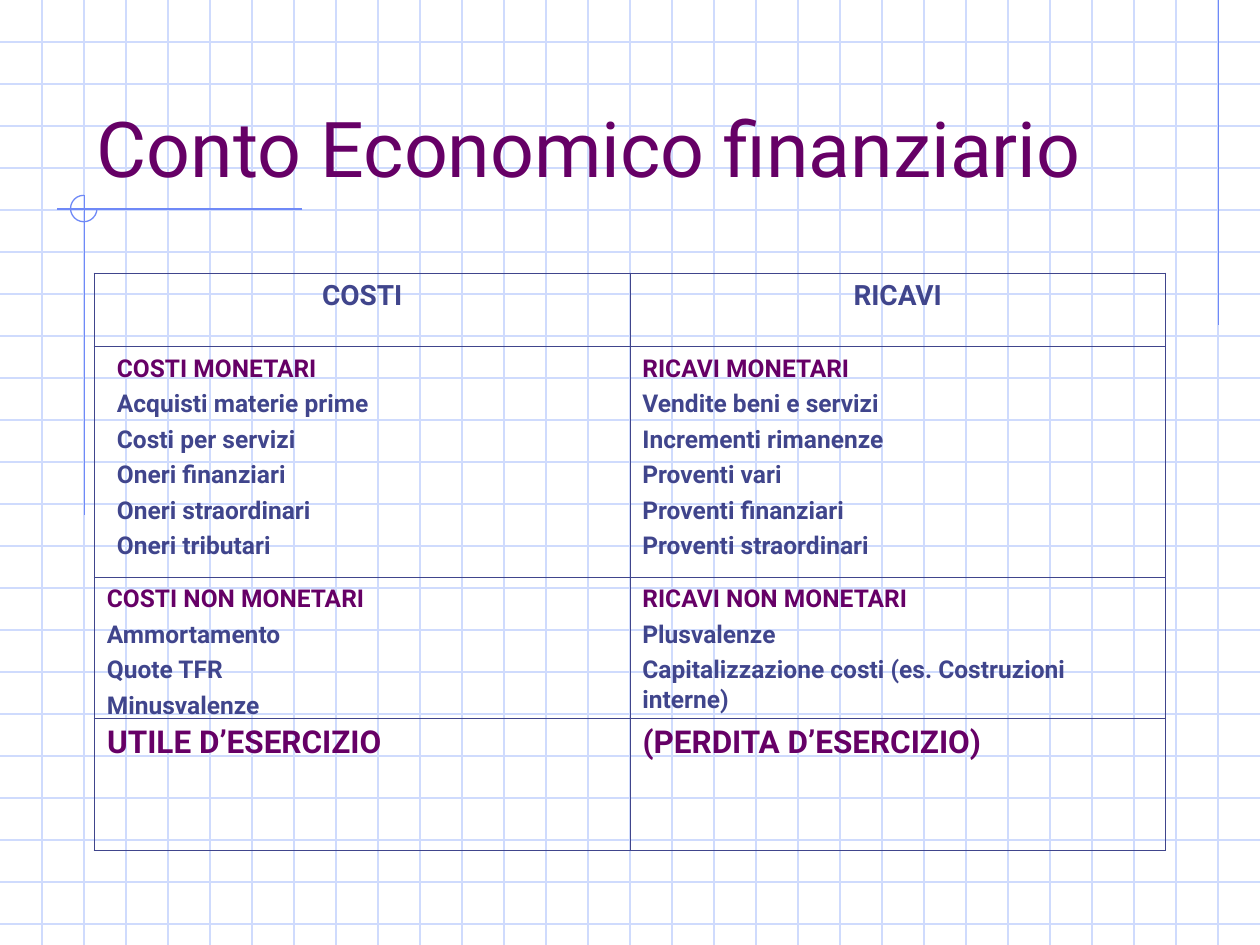
from dataclasses import dataclass
from typing import Any

from lxml.etree import SubElement
from pptx import Presentation
from pptx.dml.color import RGBColor as RGB
from pptx.enum.shapes import MSO_CONNECTOR as CONN, MSO_SHAPE as SHAPE
from pptx.enum.text import MSO_ANCHOR as ANCHOR, PP_ALIGN as ALIGN
from pptx.oxml.ns import qn
from pptx.util import Inches, Pt


@dataclass(frozen=True)
class Theme:
    font: str = "Roboto"
    grid: str = "CFDBFD"
    accent: str = "6F89F7"
    ink: str = "40458C"
    strong: str = "660066"
    title: float = 44
    result: float = 18
    header: float = 16
    body: float = 14
    rule: float = 0.75
    outer: float = 1.08
    inner: float = 0.45


@dataclass(frozen=True)
class Rule:
    x1: float
    y1: float
    x2: float
    y2: float
    color: str


@dataclass(frozen=True)
class Entry:
    left: float
    top: float
    width: float
    height: float
    heading: str
    items: tuple[str, ...]


T = Theme()
WIDTH, HEIGHT, STEP = 10, 7.5, 1 / 3

GRID = [Rule(0, i * STEP, WIDTH, i * STEP, T.grid) for i in range(1, 23)]
GRID += [Rule(i * STEP, 0, i * STEP, HEIGHT, T.grid) for i in range(1, 30)]
ACCENTS = [
    Rule(9.67, 0, 9.67, 2.58, T.accent),
    Rule(2.4, 1.66, 0.45, 1.66, T.accent),
    Rule(0.67, 1.55, 0.67, 4.09, T.accent),
]

COLUMNS = (4.25, 4.25)
ROWS = (0.58, 1.83, 1.12, 1.05)
HEADERS = ("COSTI", "RICAVI")
RESULTS = ("UTILE D’ESERCIZIO", "(PERDITA D’ESERCIZIO)")

ENTRIES = [
    Entry(0.83, 2.75, 4.17, 2.1, "COSTI MONETARI",
          ("Acquisti materie prime", "Costi per servizi", "Oneri finanziari",
           "Oneri straordinari", "Oneri tributari")),
    Entry(0.75, 4.58, 4.25, 1.54, "COSTI NON MONETARI",
          ("Ammortamento", "Quote TFR", "Minusvalenze")),
    Entry(5, 2.75, 4.25, 1.75, "RICAVI MONETARI",
          ("Vendite beni e servizi", "Incrementi rimanenze", "Proventi vari",
           "Proventi finanziari", "Proventi straordinari")),
    Entry(5, 4.58, 4.25, 1.49, "RICAVI NON MONETARI",
          ("Plusvalenze", "Capitalizzazione costi (es. Costruzioni interne)")),
]


def apply(obj: Any, formats: dict[str, Any]) -> None:
    for name, value in formats.items():
        setattr(obj, name, value)


def write(p: Any, text: str, size: float, color: str, bold: bool = True,
          before: float = 0, align: Any = ALIGN.LEFT) -> None:
    apply(p, {"alignment": align, "space_before": Pt(before)})
    r = p.add_run()
    r.text = text
    apply(r.font, {"name": T.font, "size": Pt(size), "bold": bold})
    r.font.color.rgb = RGB.from_string(color)


def style_line(sp: Any, color: str) -> None:
    sp.line.color.rgb = RGB.from_string(color)
    sp.line.width = Pt(T.rule)


def draw_rule(s: Any, rule: Rule) -> None:
    ends = (Inches(v) for v in (rule.x1, rule.y1, rule.x2, rule.y2))
    sp = s.shapes.add_connector(CONN.STRAIGHT, *ends)
    style_line(sp, rule.color)
    SubElement(sp._element.spPr, qn("a:effectLst"))


def draw_arc(s: Any) -> None:
    box = (Inches(v) for v in (0.56, 1.55, 0.21, 0.21))
    sp = s.shapes.add_shape(SHAPE.ARC, *box)
    sp.adjustments[0] = 0
    sp.adjustments[1] = 162
    sp.fill.background()
    style_line(sp, T.accent)
    sp.shadow.inherit = False


def add_text_box(s: Any, left: float, top: float, width: float,
                 height: float, anchor: Any = ANCHOR.TOP) -> Any:
    box = (Inches(v) for v in (left, top, width, height))
    tf = s.shapes.add_textbox(*box).text_frame
    apply(tf, {"word_wrap": True, "vertical_anchor": anchor})
    return tf


def draw_entry(s: Any, entry: Entry) -> None:
    tf = add_text_box(s, entry.left, entry.top, entry.width, entry.height)
    write(tf.paragraphs[0], entry.heading, T.body, T.strong, before=3.5)
    for item in entry.items:
        write(tf.add_paragraph(), item, T.body, T.ink, before=3.5)


def set_borders(cell: Any, outer_sides: dict[str, bool]) -> None:
    tc_pr = cell._tc.get_or_add_tcPr()
    for side, is_outer in outer_sides.items():
        width = Pt(T.outer if is_outer else T.inner)
        ln = SubElement(tc_pr, qn(f"a:ln{side}"), w=str(width))
        fill = SubElement(ln, qn("a:solidFill"))
        SubElement(fill, qn("a:srgbClr"), val=T.ink)


def draw_table(s: Any) -> None:
    box = (Inches(v) for v in (0.75, 2.17, sum(COLUMNS), sum(ROWS)))
    table = s.shapes.add_table(len(ROWS), len(COLUMNS), *box).table
    apply(table, {"first_row": False, "horz_banding": False})
    for column, width in zip(table.columns, COLUMNS):
        column.width = Inches(width)
    last_row, last_column = len(ROWS) - 1, len(COLUMNS) - 1
    for i, height in enumerate(ROWS):
        table.rows[i].height = Inches(height)
        for j in range(len(COLUMNS)):
            cell = table.cell(i, j)
            set_borders(cell, {"L": j == 0, "R": j == last_column,
                               "T": i == 0, "B": i == last_row})
            cell.fill.background()
            p = cell.text_frame.paragraphs[0]
            if i == 0:
                write(p, HEADERS[j], T.header, T.ink, before=4,
                      align=ALIGN.CENTER)
            elif i == last_row:
                write(p, RESULTS[j], T.result, T.strong, before=4.5)


def main() -> None:
    prs = Presentation()
    apply(prs, {"slide_width": Inches(WIDTH), "slide_height": Inches(HEIGHT)})
    s = prs.slides.add_slide(prs.slide_layouts[6])
    for rule in GRID + ACCENTS:
        draw_rule(s, rule)
    draw_arc(s)
    tf = add_text_box(s, 0.67, 0.33, 8.5, 1.25, ANCHOR.BOTTOM)
    write(tf.paragraphs[0], "Conto Economico finanziario", T.title, T.strong,
          bold=False)
    draw_table(s)
    for entry in ENTRIES:
        draw_entry(s, entry)
    prs.save("out.pptx")


if __name__ == "__main__":
    main()
